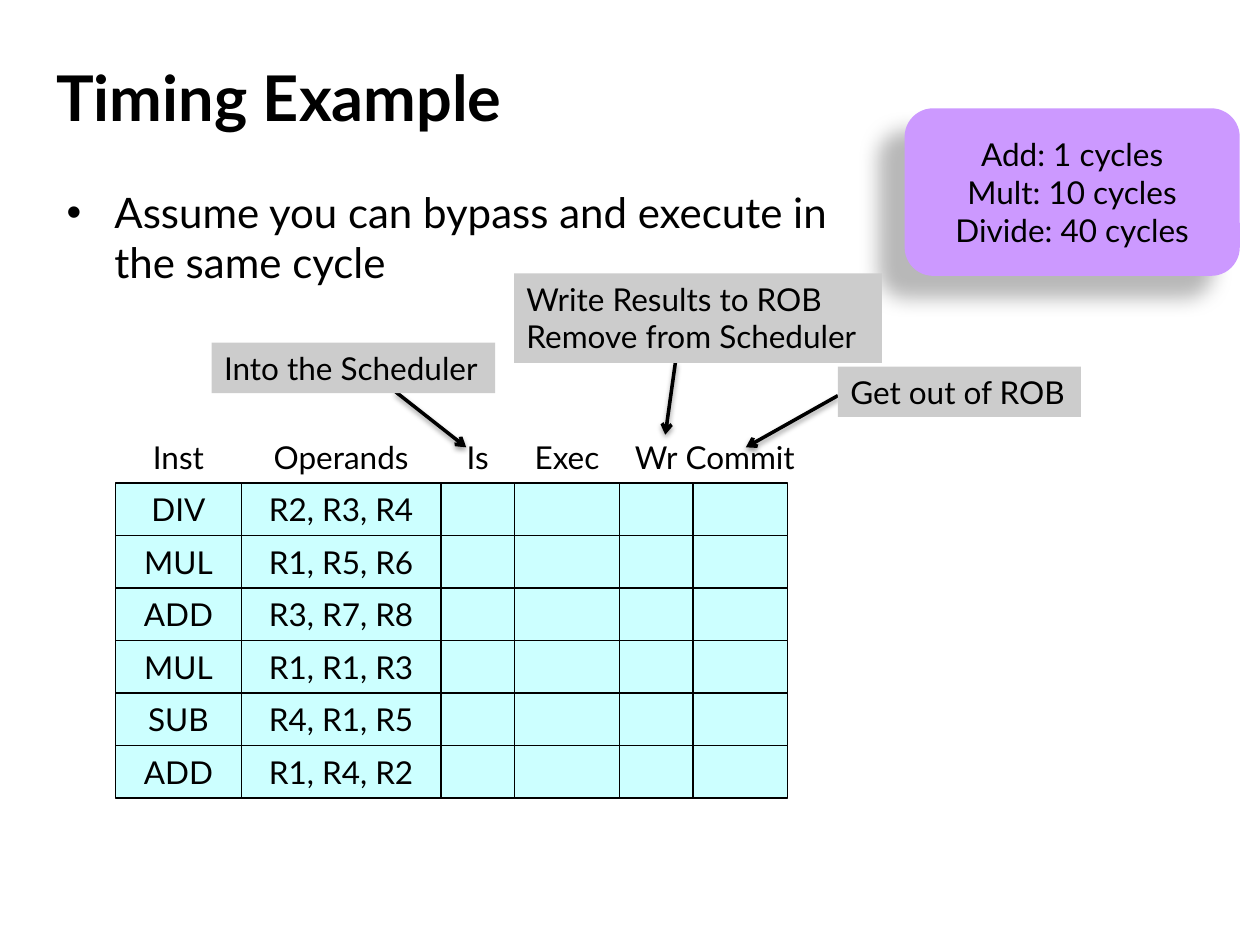
"""Build the Timing Example slide with its instruction timing grid and callouts."""
from itertools import accumulate
from lxml import etree
from pptx import Presentation
from pptx.dml.color import RGBColor
from pptx.enum import shapes, text
from pptx.oxml import ns
from pptx.util import Inches, Pt

COLORS = {"ink": "000000", "cell": "CCFFFF", "callout": "CCCCCC", "latency": "CC99FF"}
INK = RGBColor.from_string(COLORS["ink"])
CENTER, LEFT = text.PP_ALIGN.CENTER, text.PP_ALIGN.LEFT
MIDDLE, TOP = text.MSO_ANCHOR.MIDDLE, text.MSO_ANCHOR.TOP


def write(box, lines, size=18, align=CENTER, anchor=MIDDLE, wrap=False, bold=False):
    frame = box.text_frame
    frame.word_wrap = wrap
    frame.vertical_anchor = anchor
    for index, line in enumerate(lines):
        para = frame.add_paragraph() if index else frame.paragraphs[0]
        para.alignment = align
        span = para.add_run()
        span.text = line
        span.font.name = "Lato"
        span.font.size = Pt(size)
        span.font.bold = bold
        span.font.color.rgb = INK


def cast_shadow(item, opacity, blur, distance, angle):
    effects = etree.SubElement(item._element.spPr, ns.qn("a:effectLst"))
    shadow = etree.SubElement(effects, ns.qn("a:outerShdw"), blurRad=str(Pt(blur)),
                              dist=str(Pt(distance)), dir=str(angle * 60000),
                              algn="ctr", rotWithShape="0")
    color = etree.SubElement(shadow, ns.qn("a:srgbClr"), val=COLORS["ink"])
    etree.SubElement(color, ns.qn("a:alpha"), val=str(opacity * 1000))


deck = Presentation()
deck.slide_width, deck.slide_height = Inches(10), Inches(7.5)
page = deck.slides.add_slide(deck.slide_layouts[6])

title = page.shapes.add_textbox(Inches(0.35), Inches(0.35), Inches(9), Inches(0.83))
write(title, ["Timing Example"], size=36, align=LEFT, wrap=True, bold=True)

HEADERS = ["Inst", "Operands", "Is", "Exec", "Wr", "Commit"]
INSTRUCTIONS = [("DIV", "R2, R3, R4"), ("MUL", "R1, R5, R6"), ("ADD", "R3, R7, R8"),
                ("MUL", "R1, R1, R3"), ("SUB", "R4, R1, R5"), ("ADD", "R1, R4, R2")]
UNIT = 1 / 12
GRID_LEFT, GRID_TOP, ROW_HEIGHT = 11 * UNIT, 46 * UNIT, 5 * UNIT
WIDTHS = [units * UNIT for units in (12, 19, 7, 10, 7, 9)]
LEFTS = list(accumulate(WIDTHS[:-1], initial=GRID_LEFT))
LABEL_WIDTHS = WIDTHS[:-1] + [1.1]

for header, left, width, label_width in zip(HEADERS, LEFTS, WIDTHS, LABEL_WIDTHS):
    label = page.shapes.add_textbox(Inches(left + (width - label_width) / 2),
                                    Inches(GRID_TOP - ROW_HEIGHT),
                                    Inches(label_width), Inches(ROW_HEIGHT))
    write(label, [header])

for row, instruction in enumerate(INSTRUCTIONS):
    for column, (left, width) in enumerate(zip(LEFTS, WIDTHS)):
        cell = page.shapes.add_shape(shapes.MSO_SHAPE.RECTANGLE, Inches(left),
                                     Inches(GRID_TOP + row * ROW_HEIGHT),
                                     Inches(width), Inches(ROW_HEIGHT))
        cell.shadow.inherit = False
        cell.fill.solid()
        cell.fill.fore_color.rgb = RGBColor.from_string(COLORS["cell"])
        cell.line.color.rgb = INK
        cell.line.width = Pt(0.75)
        write(cell, instruction[column:column + 1])

latency = page.shapes.add_shape(shapes.MSO_SHAPE.ROUNDED_RECTANGLE, Inches(7.18),
                                Inches(0.86), Inches(2.66), Inches(1.33))
latency.adjustments[0] = 0.17
latency.fill.solid()
latency.fill.fore_color.rgb = RGBColor.from_string(COLORS["latency"])
latency.line.fill.background()
cast_shadow(latency, 28, 11.8, 19.7, 141)
write(latency, ["Add: 1 cycles", "Mult: 10 cycles", "Divide: 40 cycles"])

assumption = page.shapes.add_textbox(Inches(0.43), Inches(1.43), Inches(6.3), Inches(0.99))
write(assumption, ["Assume you can bypass and execute in the same cycle"],
      size=24, align=LEFT, anchor=TOP, wrap=True)
para = assumption.text_frame.paragraphs[0]
para.space_before = Pt(4.8)
bullet = para._p.get_or_add_pPr()
bullet.set("marL", str(Inches(0.38)))
bullet.set("indent", str(Inches(-0.38)))
etree.SubElement(bullet, ns.qn("a:buFont"), typeface="Arial")
etree.SubElement(bullet, ns.qn("a:buChar"), char="•")

CALLOUTS = [
    (["Into the Scheduler"], (1.68, 2.72, 2.25, 0.4), (3.14, 3.11, 3.7, 3.55)),
    (["Write Results to ROB", "Remove from Scheduler"], (4.08, 2.17, 2.92, 0.71),
     (5.36, 2.88, 5.28, 3.45)),
    (["Get out of ROB"], (6.65, 2.91, 1.93, 0.4), (6.65, 3.14, 5.92, 3.55)),
]
for lines, bounds, ends in CALLOUTS:
    arrow = page.shapes.add_connector(shapes.MSO_CONNECTOR.STRAIGHT, *map(Inches, ends))
    arrow.line.color.rgb = INK
    arrow.line.width = Pt(2)
    etree.SubElement(arrow.line._get_or_add_ln(), ns.qn("a:tailEnd"), type="arrow")
    cast_shadow(arrow, 38, 3.1, 1.6, 90)

    callout = page.shapes.add_shape(shapes.MSO_SHAPE.RECTANGLE, *map(Inches, bounds))
    callout.shadow.inherit = False
    callout.fill.solid()
    callout.fill.fore_color.rgb = RGBColor.from_string(COLORS["callout"])
    callout.line.fill.background()
    write(callout, lines, align=LEFT, anchor=TOP)
    callout.text_frame.auto_size = text.MSO_AUTO_SIZE.SHAPE_TO_FIT_TEXT

deck.save("out.pptx")
